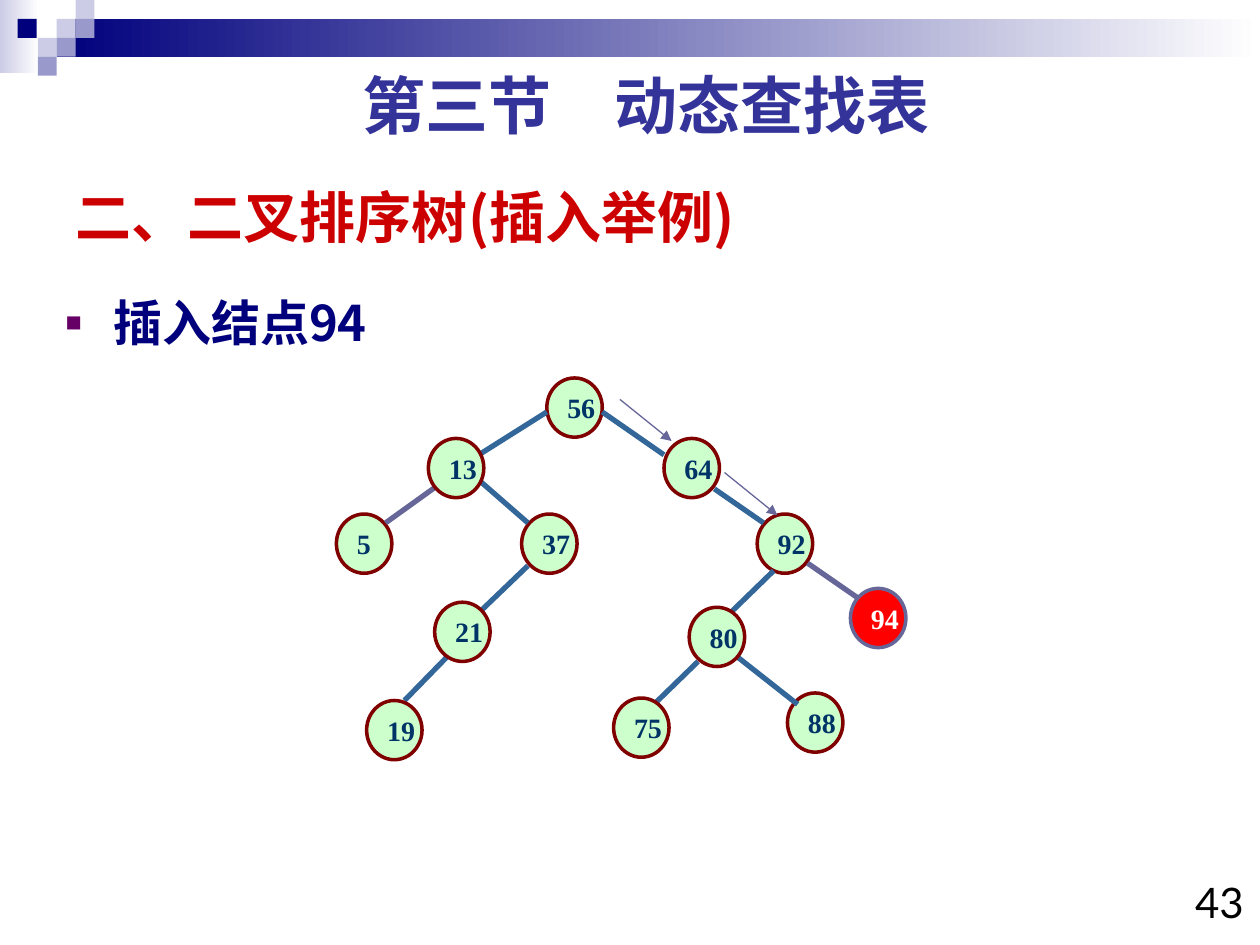
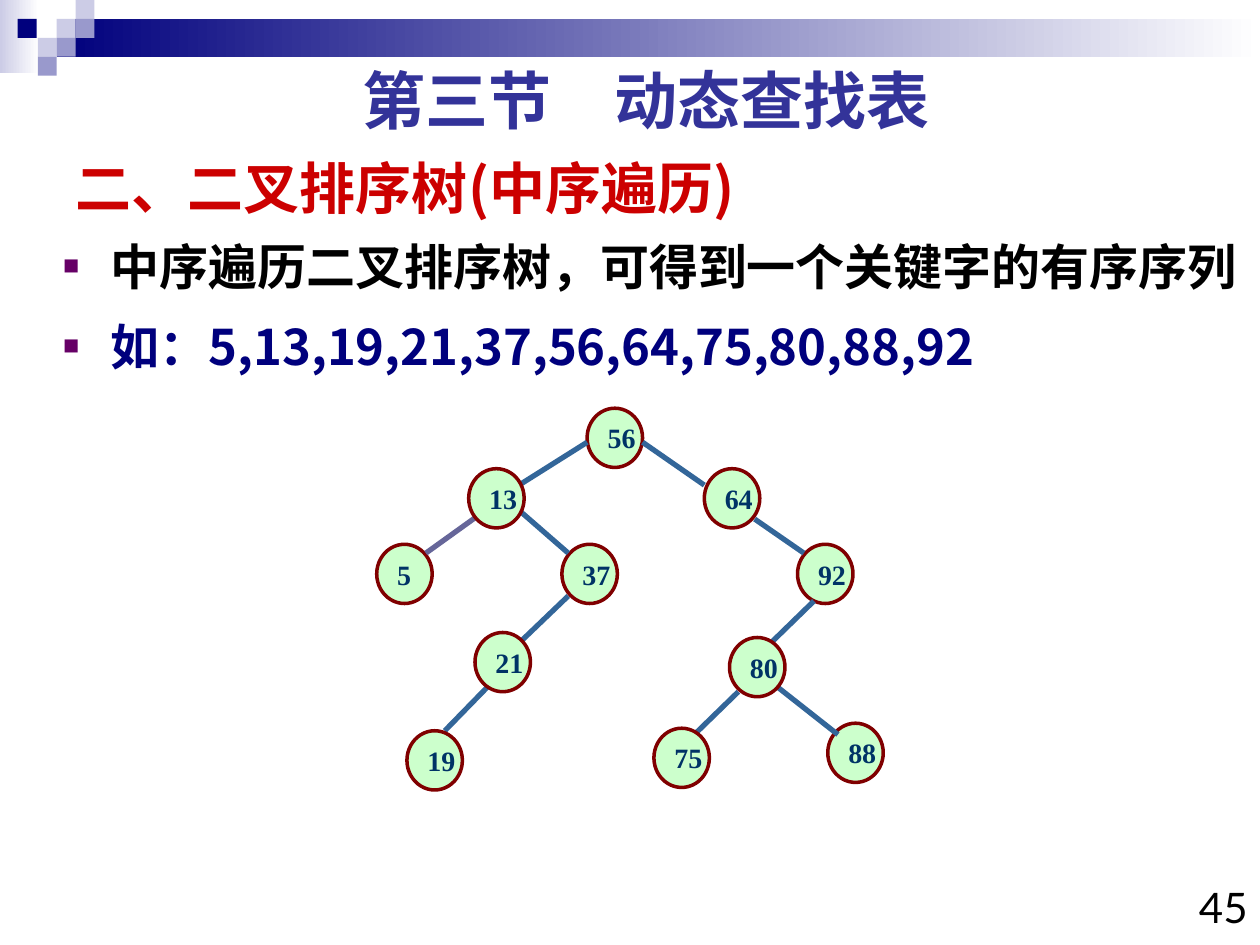
from lxml.etree import SubElement
from pptx import Presentation
from pptx.dml.color import RGBColor
from pptx.enum.shapes import MSO_CONNECTOR, MSO_SHAPE
from pptx.enum.text import MSO_ANCHOR, MSO_AUTO_SIZE, PP_ALIGN
from pptx.oxml.ns import qn
from pptx.util import Pt

px = 9144  # 100 px to the inch
HAN = "Noto Sans CJK SC"
NAVY, LILAC, PERIWINKLE = "00007D", "CCCCE6", "9999CC"
RED, INDIGO, BLACK, WHITE = "CC0000", "333399", "000000", "FFFFFF"
BULLET, STEEL, SLATE = "660066", "336699", "666699"


def color(hex_string):
    return RGBColor.from_string(hex_string)


def write(paragraph, text, size, ink, font=HAN, bold=True, align=PP_ALIGN.LEFT,
          bullet=False, space_before=0):
    paragraph.alignment = align
    paragraph.space_before = Pt(space_before)
    if bullet:
        paragraph.line_spacing = 1.05
        properties = paragraph._p.get_or_add_pPr()
        properties.set("marL", str(38 * px))
        properties.set("indent", str(-38 * px))
        bullet_color = SubElement(properties, qn("a:buClr"))
        SubElement(bullet_color, qn("a:srgbClr"), val=BULLET)
        SubElement(properties, qn("a:buSzPct"), val="55000")
        SubElement(properties, qn("a:buChar"), char="■")
    run = paragraph.add_run()
    run.text = text
    run.font.size = Pt(size)
    run.font.bold = bold
    run.font.color.rgb = color(ink)
    run.font.name = font
    SubElement(run.font._element, qn("a:ea"), typeface=HAN)


presentation = Presentation()
presentation.slide_width, presentation.slide_height = 1000 * px, 750 * px
layout = presentation.slide_layouts[1]

# Header band: two gradients and a stair of small squares
BAND = [
    (0, 0, 31, 58, (LILAC, WHITE)),
    (45, 15, 955, 30, (NAVY, WHITE)),
    *((x, y, 15, 15, (fill,)) for x, y, fill in [
        (45, 15, LILAC), (60, 0, LILAC), (60, 15, PERIWINKLE),
        (30, 30, LILAC), (14, 15, NAVY), (45, 30, PERIWINKLE),
        (30, 45, PERIWINKLE)]),
]

# Tree: left and top of each node; the first group lies under the edges
NODES_BELOW = {56: (434, 300), 64: (527, 348), 5: (267, 408),
               92: (601, 408), 37: (414, 408), 88: (625, 550)}
NODES_ABOVE = {19: (291, 556), 80: (547, 482), 21: (345, 478),
               13: (340, 348), 75: (487, 554)}
EDGES = [
    (434, 327, 380, 361, STEEL), (345, 387, 306, 415, SLATE),
    (478, 327, 527, 361, STEEL), (380, 381, 419, 415, STEEL),
    (419, 449, 371, 495, STEEL), (567, 388, 606, 415, STEEL),
    (614, 453, 577, 489, STEEL), (586, 522, 633, 559, STEEL),
    (360, 516, 321, 556, STEEL), (554, 525, 517, 561, STEEL),
]
NEW_NODE = {94: (675, 467)}
NEW_EDGE = [(641, 447, 680, 474, SLATE)]
SEARCH_ARROWS = [(492, 317, 533, 350, SLATE), (575, 375, 617, 409, SLATE)]

SLIDES = [
    dict(heading="二、二叉排序树(插入举例)", heading_top=134, section_top=48,
         number="43", number_at=(930, 691), body_box=(42, 225, 958, 442),
         points=[("插入结点94", NAVY)], tree_shift=(0, 0),
         new_node=NEW_NODE, new_edge=NEW_EDGE, arrows=SEARCH_ARROWS),
    dict(heading="二、二叉排序树(中序遍历)", heading_top=111, section_top=44,
         number="45", number_at=(933, 695), body_box=(40, 180, 958, 491),
         points=[("中序遍历二叉排序树，可得到一个关键字的有序序列", BLACK),
                 ("如：5,13,19,21,37,56,64,75,80,88,92", NAVY)],
         tree_shift=(32, 24), new_node={}, new_edge=[], arrows=[]),
]

for content in SLIDES:
    slide = presentation.slides.add_slide(layout)
    shapes = slide.shapes

    # The band is drawn once and moved to the layout
    if content is SLIDES[0]:
        for index, (*box, fills) in enumerate(BAND):
            shape = shapes.add_shape(MSO_SHAPE.RECTANGLE, *[v * px for v in box])
            shape.shadow.inherit = False
            shape.line.fill.background()
            if len(fills) == 2:
                shape.fill.gradient()
                shape.fill.gradient_angle = 0
                for stop, fill in zip(shape.fill.gradient_stops, fills):
                    stop.color.rgb = color(fill)
            else:
                shape.fill.solid()
                shape.fill.fore_color.rgb = color(fills[0])
            shape.element.nvSpPr.cNvPr.id = 100 + index
            layout.shapes.element.insert(2 + index, shape.element)

    # Heading and bullet list
    title, body = shapes.title, slide.placeholders[1]
    heading_box = (50, content["heading_top"], 625, 75)
    for shape, box, anchor in [(title, heading_box, MSO_ANCHOR.MIDDLE),
                               (body, content["body_box"], MSO_ANCHOR.TOP)]:
        shape.left, shape.top, shape.width, shape.height = [v * px for v in box]
        shape.text_frame.auto_size = MSO_AUTO_SIZE.NONE
        shape.text_frame.vertical_anchor = anchor
    write(title.text_frame.paragraphs[0], content["heading"], 32, RED)
    for index, (point, ink) in enumerate(content["points"]):
        frame = body.text_frame
        paragraph = frame.add_paragraph() if index else frame.paragraphs[0]
        write(paragraph, point, 28, ink, bullet=True,
              space_before=10.5 if index else 0)

    # Section name and page number
    section_box = (50, content["section_top"], 925, 70)
    for box, text, size, ink, bold, align in [
            (section_box, "第三节　动态查找表", 36, INDIGO, True, PP_ALIGN.CENTER),
            ((*content["number_at"], 67, 59), content["number"], 24, BLACK,
             False, PP_ALIGN.RIGHT)]:
        text_box = shapes.add_textbox(*[v * px for v in box])
        text_box.text_frame.word_wrap = True
        write(text_box.text_frame.paragraphs[0], text, size, ink,
              font="Lato", bold=bold, align=align)

    # Binary search tree
    shift_x, shift_y = content["tree_shift"]
    edges = [(*edge, 3, False) for edge in EDGES + content["new_edge"]]
    arrows = [(*arrow, 0.75, True) for arrow in content["arrows"]]
    layers = [(NODES_BELOW, edges),
              ({**NODES_ABOVE, **content["new_node"]}, arrows)]
    for nodes, lines in layers:
        for key, (left, top) in nodes.items():
            fill, outline, ink = "CCFFCC", "800000", "003366"
            if key in NEW_NODE:
                fill, outline, ink = "FF0000", SLATE, WHITE
            node = shapes.add_shape(MSO_SHAPE.OVAL, (left + shift_x) * px,
                                    (top + shift_y) * px, 44 * px, 47 * px)
            node.shadow.inherit = False
            node.fill.solid()
            node.fill.fore_color.rgb = color(fill)
            node.line.color.rgb = color(outline)
            node.line.width = Pt(2)
            node.text_frame.word_wrap = False
            node.text_frame.vertical_anchor = MSO_ANCHOR.MIDDLE
            write(node.text_frame.paragraphs[0], str(key), 16, ink,
                  font="Times New Roman")
        for x1, y1, x2, y2, stroke, width, arrowhead in lines:
            connector = shapes.add_connector(
                MSO_CONNECTOR.STRAIGHT, (x1 + shift_x) * px, (y1 + shift_y) * px,
                (x2 + shift_x) * px, (y2 + shift_y) * px)
            connector.line.color.rgb = color(stroke)
            connector.line.width = Pt(width)
            properties = connector.element.spPr
            if arrowhead:
                SubElement(properties.find(qn("a:ln")), qn("a:tailEnd"),
                           type="triangle")
            SubElement(properties, qn("a:effectLst"))

presentation.save("out.pptx")
